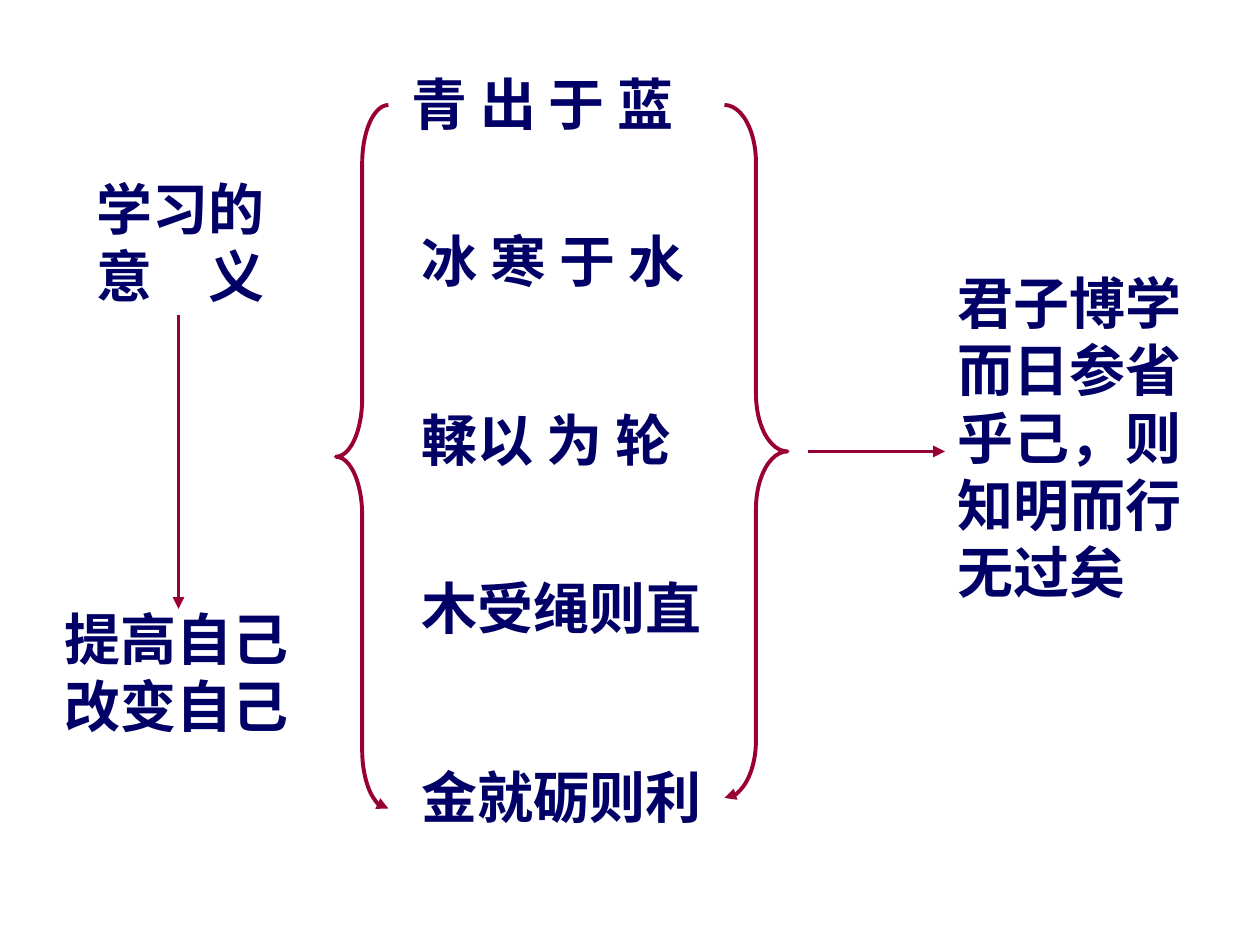
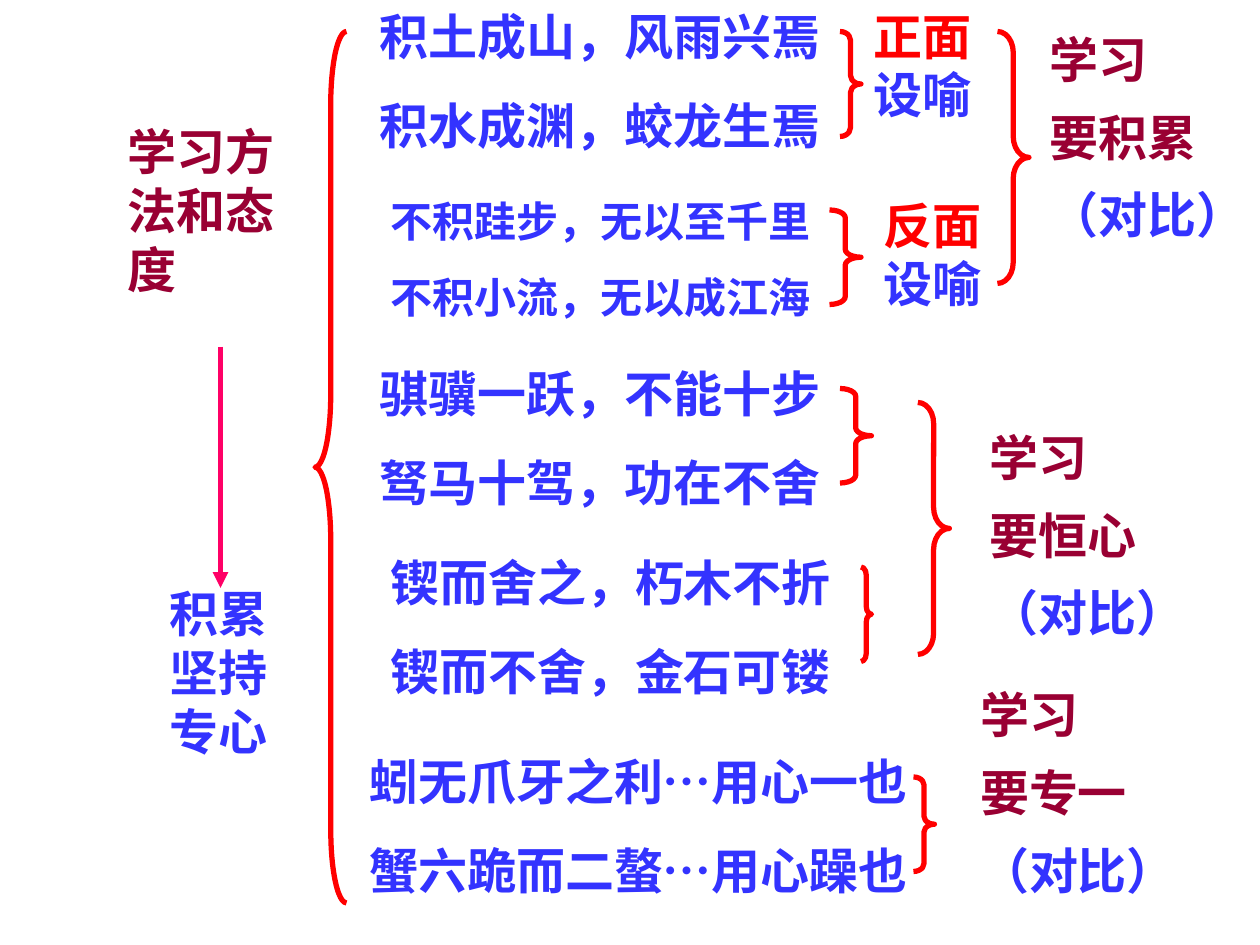
import pptx
import pptx.util
import pptx.dml.color
import pptx.enum.shapes
import lxml.etree

Pt = pptx.util.Pt
hue = pptx.dml.color.RGBColor.from_string
SHAPE = pptx.enum.shapes.MSO_SHAPE
LINE = pptx.enum.shapes.MSO_CONNECTOR.STRAIGHT
NS = "{http://schemas.openxmlformats.org/drawingml/2006/main}"

NAVY, WINE, BLUE, RED, PINK = "000066", "990033", "3333FF", "FF0000", "FF0066"
SANS, SERIF = "Noto Sans CJK JP", "Times New Roman"


def write(slide, box, lines, font, size, pitch=1.2):
    """Add a text box; lines holds one (text, colour) pair per paragraph."""
    frame = slide.shapes.add_textbox(*map(Pt, box)).text_frame
    frame.word_wrap = True
    for i, (text, color) in enumerate(lines):
        para = frame.add_paragraph() if i else frame.paragraphs[0]
        para.add_run().text = text
        para.line_spacing = Pt(round(size * pitch, 1))
        if i:
            para.space_before = Pt(size * 0.625)
        para.font.name = font
        para.font.size = Pt(size)
        para.font.bold = True
        para.font.color.rgb = hue(color)
    return frame.paragraphs[0]


def stroke(shape, color, width, tip=None):
    """Style an outline without shadow; tip is headEnd or tailEnd."""
    shape.line.color.rgb = hue(color)
    shape.line.width = Pt(width)
    props = shape._element.spPr
    if tip:
        lxml.etree.SubElement(props.find(NS + "ln"), NS + tip, type="triangle")
    lxml.etree.SubElement(props, NS + "effectLst")


deck = pptx.Presentation()
deck.slide_width, deck.slide_height = Pt(720), Pt(540)
why, how = [deck.slides.add_slide(deck.slide_layouts[6]) for _ in range(2)]

# Slide 1: why we learn
for text, box in [
    ("学习的意　义", (48, 96, 120, 84)),
    ("提高自己改变自己", (30, 342, 150, 84)),
    ("青 出 于 蓝", (228, 36, 240, 46)),
    ("冰 寒 于 水", (234, 126, 228, 46)),
    ("輮以 为 轮", (234, 228, 216, 46)),
    ("木受绳则直", (234, 324, 258, 46)),
    ("金就砺则利", (234, 432, 282, 46)),
    ("君子博学而日参省乎己，则知明而行无过矣", (540, 150, 150, 200)),
]:
    write(why, box, [(text, NAVY)], SANS, 32)

# Slide 2: method and attitude, with the outcome below
write(how, (66, 66, 114, 108), [("学习方法和态度", WINE)], SERIF, 28)
write(how, (90, 330, 84, 108), [("积累坚持专心", BLUE)], SERIF, 28)

# Paired quotations
for first, second, box, size in [
    ("积土成山，风雨兴焉", "积水成渊，蛟龙生焉", (210, 0, 282, 92), 28),
    ("不积跬步，无以至千里", "不积小流，无以成江海", (216, 108, 270, 80), 24),
    ("骐骥一跃，不能十步", "驽马十驾，功在不舍", (210, 204, 270, 92), 28),
    ("锲而舍之，朽木不折", "锲而不舍，金石可镂", (216, 312, 270, 92), 28),
    ("蚓无爪牙之利…用心一也", "蟹六跪而二螯…用心躁也", (204, 426, 336, 92), 28),
]:
    write(how, box, [(first, BLUE), (second, BLUE)], SERIF, size)

# Kind of metaphor
for side, box in [("正面", (492, 0, 84, 75)), ("反面", (498, 108, 78, 75))]:
    run = write(how, box, [(side, RED)], "Arial", 28).add_run()
    run.text = "设喻"
    run.font.name = SERIF
    run.font.color.rgb = hue(BLUE)

# Lessons drawn
for lesson, left, top in [
    ("要积累", 592.5, 20), ("要恒心", 558.5, 247.5), ("要专一", 553, 394.5)
]:
    lines = [("学习", WINE), (lesson, WINE), ("（对比）", BLUE)]
    write(how, (left, top, 127.5, 123), lines, SERIF, 28, 0.96)

# Arrows
for slide, ends, color, width in [
    (why, (102, 180, 102, 348), WINE, 2.25),
    (why, (462, 258, 540, 258), WINE, 2.25),
    (how, (126, 198, 126, 336), PINK, 3),
]:
    arrow = slide.shapes.add_connector(LINE, *map(Pt, ends))
    stroke(arrow, color, width, "tailEnd")

# Braces: each curl is a twelfth of the height
LEFT, RIGHT = SHAPE.LEFT_BRACE, SHAPE.RIGHT_BRACE
for slide, kind, box, color, width, tip in [
    (why, LEFT, (192, 60, 30, 402), WINE, 2.25, "headEnd"),
    (why, RIGHT, (414, 60, 36, 396), WINE, 2.25, "tailEnd"),
    (how, LEFT, (180, 18, 18, 498), RED, 3, None),
    (how, RIGHT, (480, 18, 12, 60), RED, 3, None),
    (how, RIGHT, (474, 120, 18, 54), RED, 3, None),
    (how, RIGHT, (570, 18, 18, 144), RED, 3, None),
    (how, RIGHT, (480, 222, 18, 54), RED, 3, None),
    (how, RIGHT, (492, 324, 6, 54), RED, 3, None),
    (how, RIGHT, (522, 444, 12, 54), RED, 3, None),
    (how, RIGHT, (524.5, 230, 18, 144), RED, 3, None),
]:
    brace = slide.shapes.add_shape(kind, *map(Pt, box))
    brace.adjustments[0] = box[3] / 12 / box[2]
    brace.fill.background()
    stroke(brace, color, width, tip)

deck.save("out.pptx")
